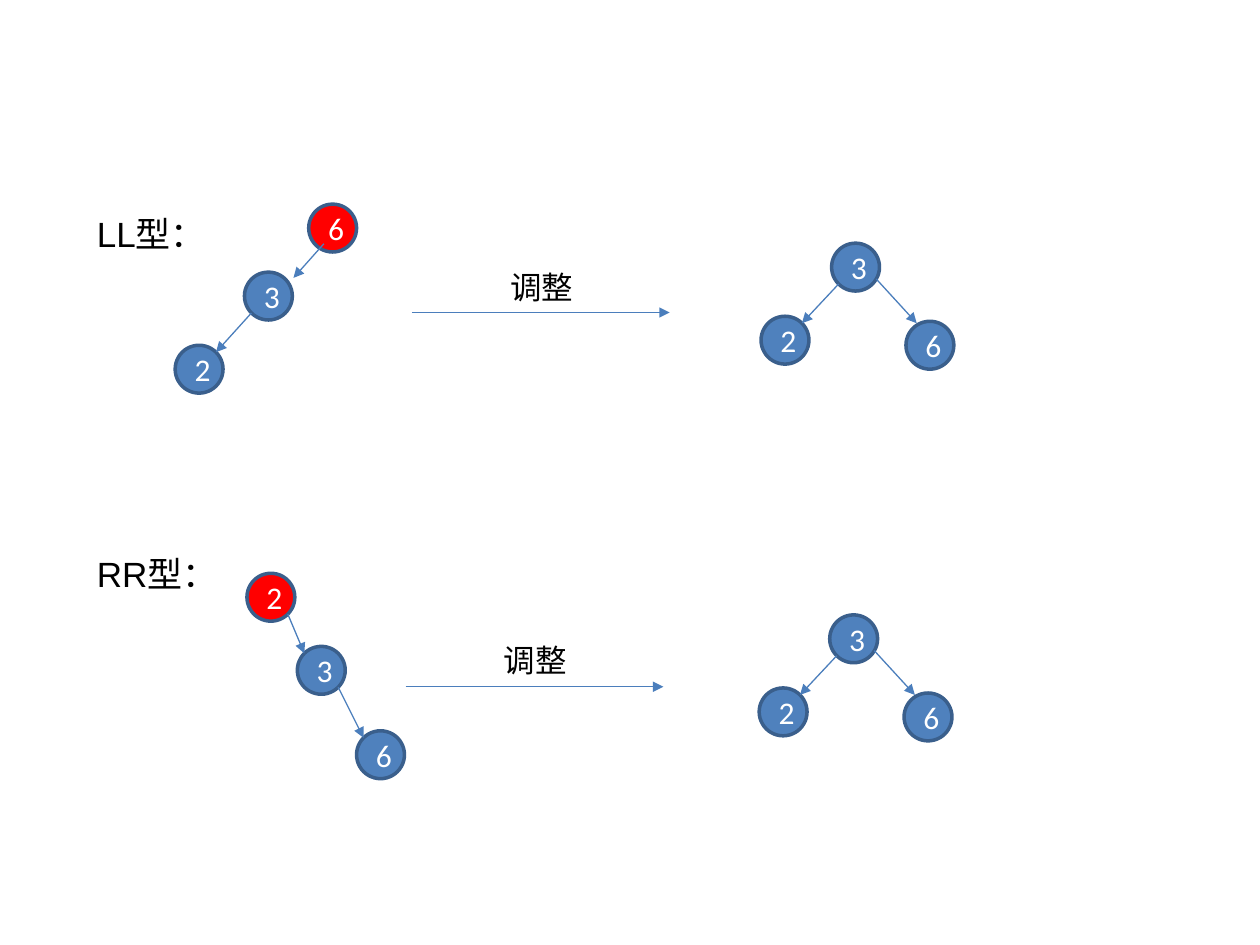
from math import sqrt
from pptx import Presentation
from pptx.dml.color import RGBColor
from pptx.enum.shapes import MSO_CONNECTOR, MSO_SHAPE
from pptx.enum.text import MSO_ANCHOR, MSO_AUTO_SIZE, PP_ALIGN
from pptx.oxml.ns import qn
from pptx.util import Inches, Pt
from lxml.etree import SubElement

THEME = {
    "node": RGBColor(0x4F, 0x81, 0xBD),
    "pivot": RGBColor(0xFF, 0x00, 0x00),
    "outline": RGBColor(0x3A, 0x5F, 0x8C),
    "arrow": RGBColor(0x4B, 0x7E, 0xBC),
    "outline_width": Pt(2),
    "arrow_width": Pt(0.75),
    "digit": {"name": "Calibri", "size": Pt(18), "color": RGBColor(0xFF, 0xFF, 0xFF)},
    "heading": {"name": "Arial", "size": Pt(20), "color": RGBColor(0, 0, 0)},
    "caption": {"name": "Arial", "size": Pt(18), "color": RGBColor(0, 0, 0)},
}

presentation = Presentation()
presentation.slide_width, presentation.slide_height = Inches(10), Inches(7.5)
COLUMN = presentation.slide_width / 100
ROW = presentation.slide_height / 75
NODE = 3.8
CORNER = NODE / 2 / sqrt(2)
slide = presentation.slides.add_slide(presentation.slide_layouts[6])


def write(shape, text, style, frame_format, paragraph_format):
    frame = shape.text_frame
    for name, value in frame_format.items():
        setattr(frame, name, value)
    paragraph = frame.paragraphs[0]
    for name, value in paragraph_format.items():
        setattr(paragraph, name, value)
    run = paragraph.add_run()
    run.text = text
    run.font.name, run.font.size = style["name"], style["size"]
    run.font.color.rgb = style["color"]


def add_arrow(start, end):
    arrow = slide.shapes.add_connector(
        MSO_CONNECTOR.STRAIGHT,
        int(start[0] * COLUMN), int(start[1] * ROW),
        int(end[0] * COLUMN), int(end[1] * ROW),
    )
    arrow.line.color.rgb = THEME["arrow"]
    arrow.line.width = THEME["arrow_width"]
    SubElement(arrow.line._get_or_add_ln(), qn("a:tailEnd"), type="triangle")
    SubElement(arrow._element.spPr, qn("a:effectLst"))


label_frame = {"word_wrap": True, "auto_size": MSO_AUTO_SIZE.SHAPE_TO_FIT_TEXT}
labels = [
    ("LL型：", 6.7, 14.7, 12.7, 5.4, "heading"),
    ("调整", 39.5, 20.8, 14.2, 4, "caption"),
    ("RR型：", 6.7, 41.7, 12.7, 5.4, "heading"),
    ("调整", 39, 50.4, 14.2, 4, "caption"),
]
label_paragraphs = {
    "heading": {"alignment": PP_ALIGN.JUSTIFY, "line_spacing": 1.5},
    "caption": {"alignment": PP_ALIGN.LEFT},
}
for text, left, top, width, height, kind in labels:
    box = slide.shapes.add_textbox(
        int(left * COLUMN), int(top * ROW), int(width * COLUMN), int(height * ROW)
    )
    write(box, text, THEME[kind], label_frame, label_paragraphs[kind])

for left, top in [(32.7, 24.8), (32.2, 54.5)]:
    add_arrow((left, top), (left + 20.45, top))

balanced_nodes = {"3": (5.6, 0), "2": (0, 5.8), "6": (11.5, 6.2)}
balanced_edges = [("3", "2", (0, 0)), ("3", "6", (0.3, -0.4))]
trees = [
    ((13.9, 16.2), {"6": (10.6, 0), "3": (5.5, 5.4), "2": (0, 11.2)},
     [("6", "3", (0.65, -0.1)), ("3", "2", (0, 0))], "6"),
    ((60.4, 19.3), balanced_nodes, balanced_edges, None),
    ((19.6, 45.5), {"2": (0, 0), "3": (4, 5.8), "6": (8.7, 12.5)},
     [("2", "3", (0, 0)), ("3", "6", (0, 0))], "2"),
    ((60.25, 48.8), balanced_nodes, balanced_edges, None),
]
for (left, top), nodes, edges, pivot in trees:
    centers = {}
    for digit, (across, down) in nodes.items():
        x, y = left + across, top + down
        centers[digit] = (x + NODE / 2, y + NODE / 2)
        circle = slide.shapes.add_shape(
            MSO_SHAPE.OVAL, int(x * COLUMN), int(y * ROW), int(NODE * COLUMN), int(NODE * ROW)
        )
        circle.shadow.inherit = False
        circle.fill.solid()
        circle.fill.fore_color.rgb = THEME["pivot" if digit == pivot else "node"]
        circle.line.color.rgb = THEME["outline"]
        circle.line.width = THEME["outline_width"]
        write(circle, digit, THEME["digit"],
              {"word_wrap": True, "vertical_anchor": MSO_ANCHOR.MIDDLE},
              {"alignment": PP_ALIGN.CENTER})
    for parent, child, (shift_x, shift_y) in edges:
        (start_x, start_y), (end_x, end_y) = centers[parent], centers[child]
        reach = CORNER if end_x > start_x else -CORNER
        add_arrow(
            (start_x + reach + shift_x, start_y + CORNER + shift_y),
            (end_x - reach + shift_x, end_y - CORNER + shift_y),
        )

presentation.save("out.pptx")
